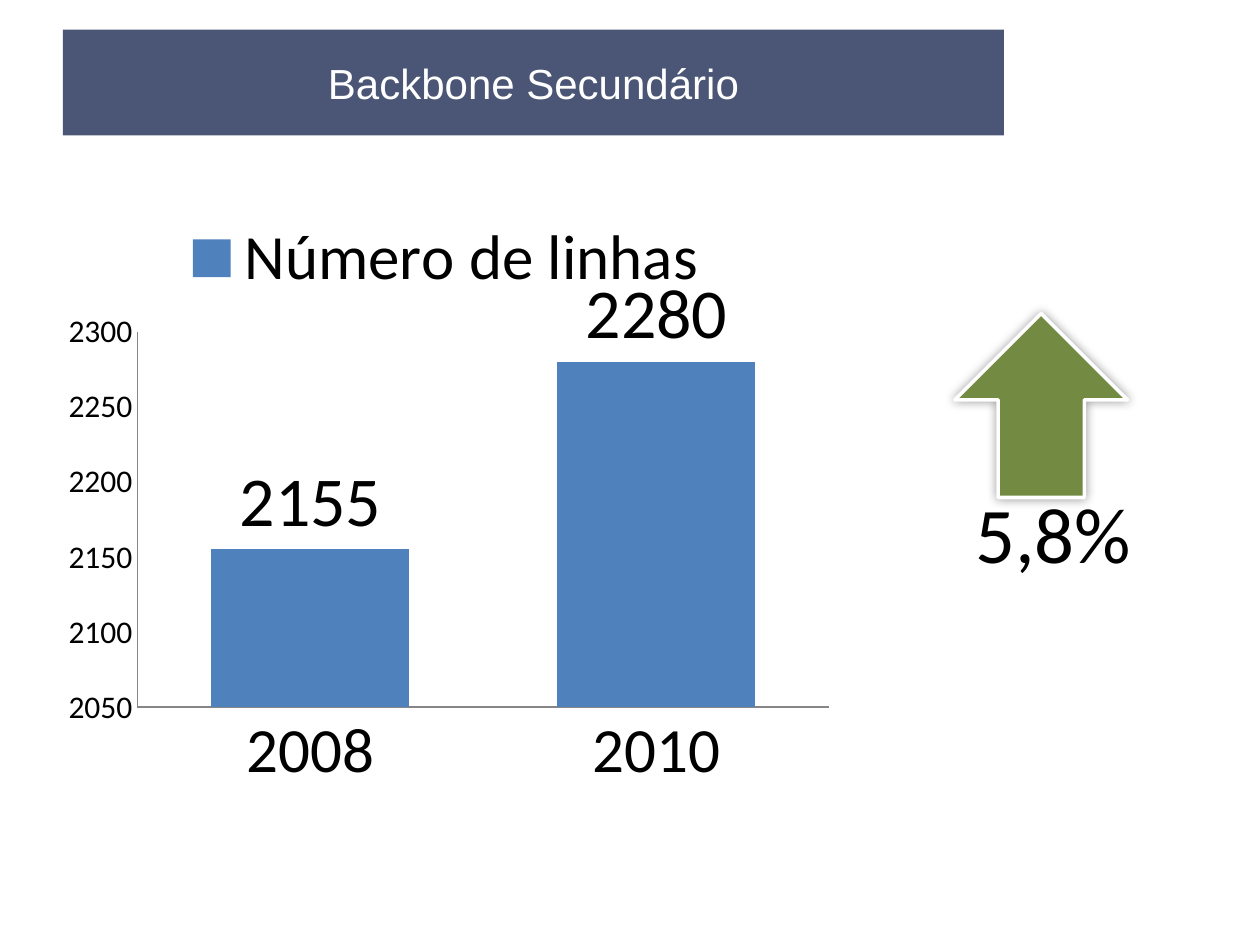
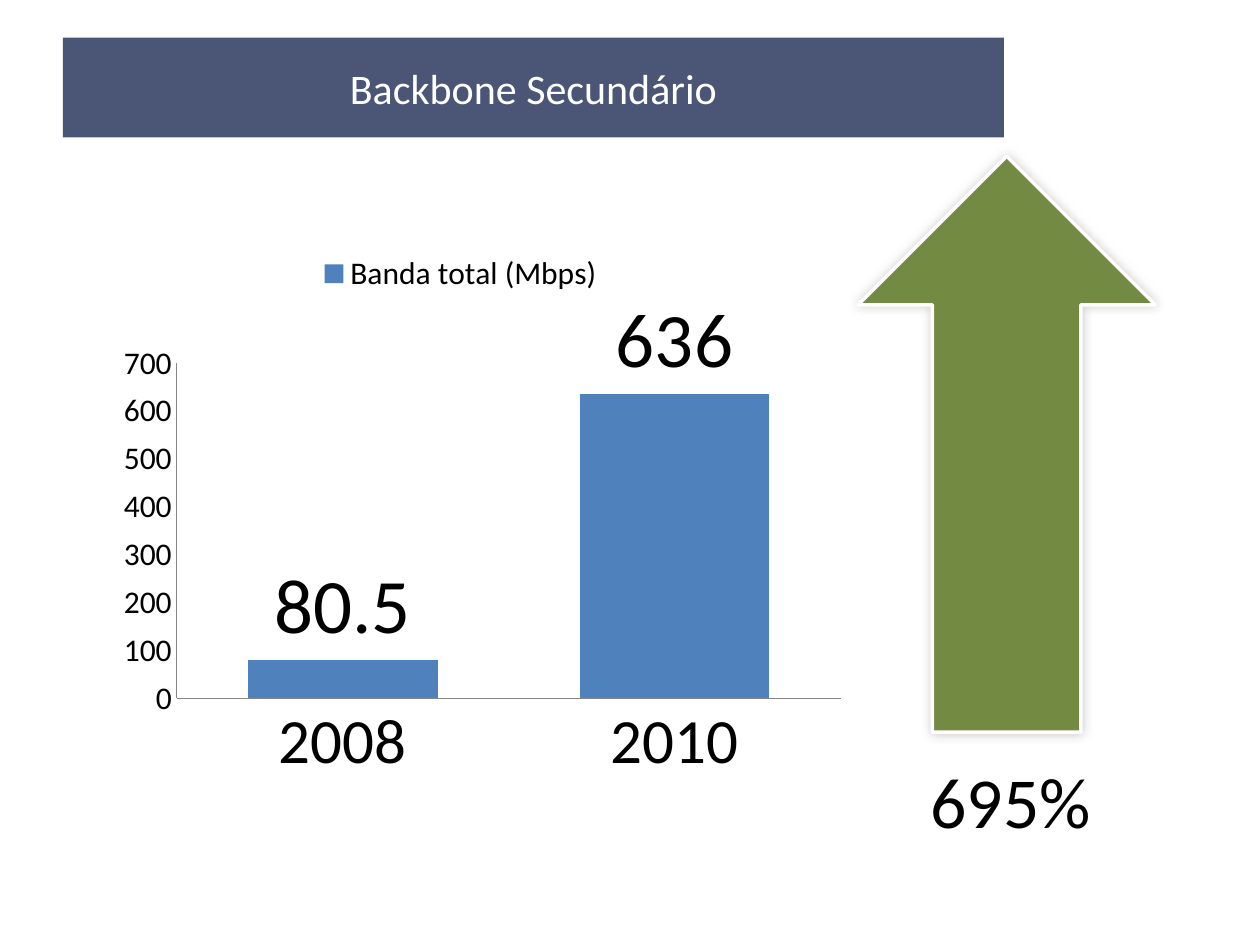
"""Build two slides that compare the secondary backbone in 2008 and 2010."""
from dataclasses import dataclass

from lxml import etree
from pptx import Presentation
from pptx.chart import data as cd
from pptx.dml.color import RGBColor
from pptx.enum import chart as ec, shapes as es, text as et
from pptx.oxml import ns, parse_xml
from pptx.util import Cm, Pt


@dataclass(frozen=True)
class Theme:
    band: str = "4B5676"
    bar: str = "4F81BD"
    grow: str = "738A42"
    axis: str = "868686"
    ink: str = "000000"
    paper: str = "FFFFFF"
    face: str = "Calibri"
    head: int = 24
    small: int = 18
    large: int = 36


THEME = Theme()
TITLE = "Backbone Secundário"
YEARS = ("2008", "2010")
SLIDES = [
    dict(
        title=dict(face="Arial", top=0.6, high=2.13),
        chart=dict(
            name="Número de linhas", vals=(2155, 2280), scale=(2050, 2300, 50),
            box=(0.51, 4.11, 16.61, 13.21), plot=(13.6, 19.5, 84, 57.3),
            key=(10, 0, 82, 16.6), keysize=THEME.large, label=40),
        arrow=dict(box=(19.25, 6.32, 3.48, 3.71), alpha=40),
        gain=dict(words="5,8%", box=(18.77, 9.86, 4.93, 2.87), size=45, foot=0.89),
    ),
    dict(
        title=dict(face=THEME.face, top=0.76, high=2.01),
        chart=dict(
            name="Banda total (Mbps)", vals=(80.5, 636), scale=(0, 700, 100),
            box=(1.27, 4.45, 16.03, 12.57), plot=(14.3, 22.8, 83.5, 53.8),
            key=(32, 5, 36, 7), keysize=THEME.small, label=44),
        arrow=dict(box=(17.3, 3.15, 5.99, 11.61), alpha=20),
        gain=dict(words="695%", box=(17.91, 15.11, 4.93, 3.07), size=41, foot=0.81),
    ),
]


def rgb(code):
    return RGBColor.from_string(code)


def cms(box):
    return [Cm(n) for n in box]


def style(font, size, color=THEME.ink, face=THEME.face):
    font.size, font.name = Pt(size), face
    font.color.rgb = rgb(color)


def write(frame, words, size, color=THEME.ink, face=THEME.face):
    frame.word_wrap = True
    frame.vertical_anchor = et.MSO_ANCHOR.MIDDLE
    para = frame.paragraphs[0]
    para.text = words
    para.alignment = et.PP_ALIGN.CENTER
    style(para.font, size, color, face)
    return para


def block(slide, kind, box, color):
    shape = slide.shapes.add_shape(kind, *cms(box))
    shape.shadow.inherit = False
    shape.fill.solid()
    shape.fill.fore_color.rgb = rgb(color)
    shape.line.fill.background()
    return shape


def place(chart, tag, box, inner=False):
    host = chart.element.find(f".//{ns.qn(tag)}")
    for old in host.findall(ns.qn("c:layout")):
        host.remove(old)
    parts = [("layoutTarget", "inner")] if inner else []
    parts += [("xMode", "edge"), ("yMode", "edge")]
    parts += [(side, f"{part / 100:.3f}") for side, part in zip("xywh", box)]
    layout = etree.Element(ns.qn("c:layout"))
    manual = etree.SubElement(layout, ns.qn("c:manualLayout"))
    for name, val in parts:
        etree.SubElement(manual, ns.qn(f"c:{name}"), val=val)
    host.insert(0 if inner else 1, layout)


def draw_title(slide, face, top, high):
    band = block(slide, es.MSO_SHAPE.RECTANGLE, (1.27, top, 18.97, high), THEME.band)
    write(band.text_frame, TITLE, THEME.head, THEME.paper, face)


def draw_chart(slide, name, vals, scale, box, plot, key, keysize, label):
    data = cd.CategoryChartData()
    data.categories = YEARS
    data.add_series(name, vals)
    kind = ec.XL_CHART_TYPE.COLUMN_CLUSTERED
    chart = slide.shapes.add_chart(kind, *cms(box), data).chart
    style(chart.font, THEME.small)
    chart.has_title = False
    chart.has_legend = True
    chart.legend.position = ec.XL_LEGEND_POSITION.BOTTOM
    chart.legend.include_in_layout = False
    style(chart.legend.font, keysize)

    years, amount = chart.category_axis, chart.value_axis
    for axis, size in ((years, THEME.large), (amount, THEME.small)):
        axis.has_major_gridlines = False
        axis.major_tick_mark = axis.minor_tick_mark = ec.XL_TICK_MARK.NONE
        axis.format.line.color.rgb = rgb(THEME.axis)
        style(axis.tick_labels.font, size)
    amount.minimum_scale, amount.maximum_scale, amount.major_unit = scale

    bars = chart.plots[0]
    bars.gap_width = 75
    bars.vary_by_categories = False
    fill = bars.series[0].format.fill
    fill.solid()
    fill.fore_color.rgb = rgb(THEME.bar)
    bars.has_data_labels = True
    bars.data_labels.show_value = True
    bars.data_labels.position = ec.XL_LABEL_POSITION.OUTSIDE_END
    style(bars.data_labels.font, label)
    place(chart, "c:plotArea", plot, inner=True)
    place(chart, "c:legend", key)


def draw_arrow(slide, box, alpha):
    arrow = block(slide, es.MSO_SHAPE.UP_ARROW, box, THEME.grow)
    arrow.line.color.rgb = rgb(THEME.paper)
    arrow.line.width = Pt(2)
    glow = parse_xml(
        f'<a:outerShdw {ns.nsdecls("a")} blurRad="{Pt(6)}" dist="0" dir="18900000">'
        f'<a:srgbClr val="{THEME.ink}"><a:alpha val="{alpha * 1000}"/></a:srgbClr>'
        '</a:outerShdw>')
    arrow.element.spPr.find(ns.qn("a:effectLst")).append(glow)


def draw_gain(slide, words, box, size, foot):
    frame = slide.shapes.add_textbox(*cms(box)).text_frame
    frame.margin_left = frame.margin_right = frame.margin_top = 0
    frame.margin_bottom = Cm(foot)
    write(frame, words, size).line_spacing = 0.9


def main():
    deck = Presentation()
    deck.slide_width, deck.slide_height = Cm(25.4), Cm(19.05)
    for page in SLIDES:
        slide = deck.slides.add_slide(deck.slide_layouts[6])
        draw_chart(slide, **page["chart"])
        draw_arrow(slide, **page["arrow"])
        draw_gain(slide, **page["gain"])
        draw_title(slide, **page["title"])
    deck.save("out.pptx")


if __name__ == "__main__":
    main()
